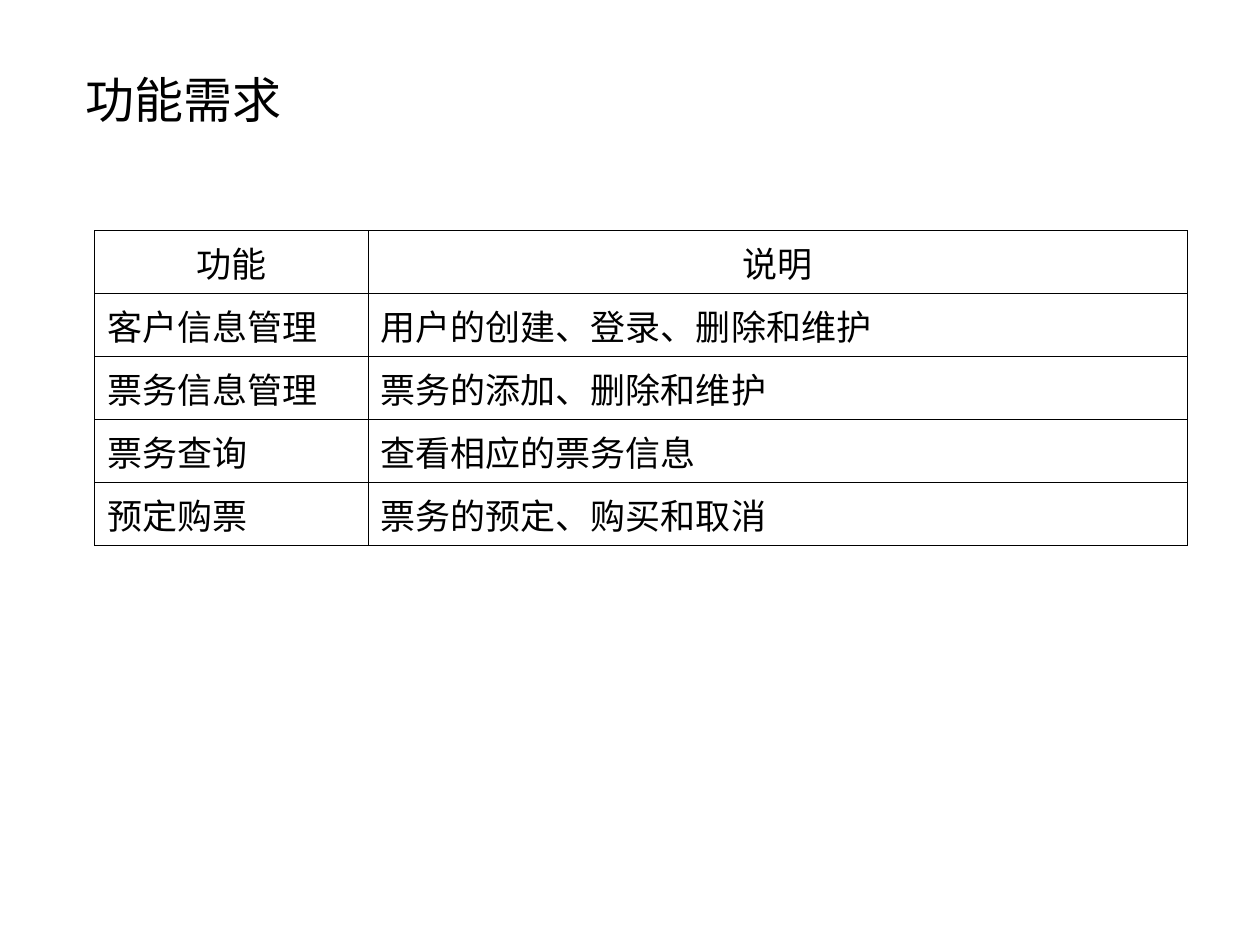
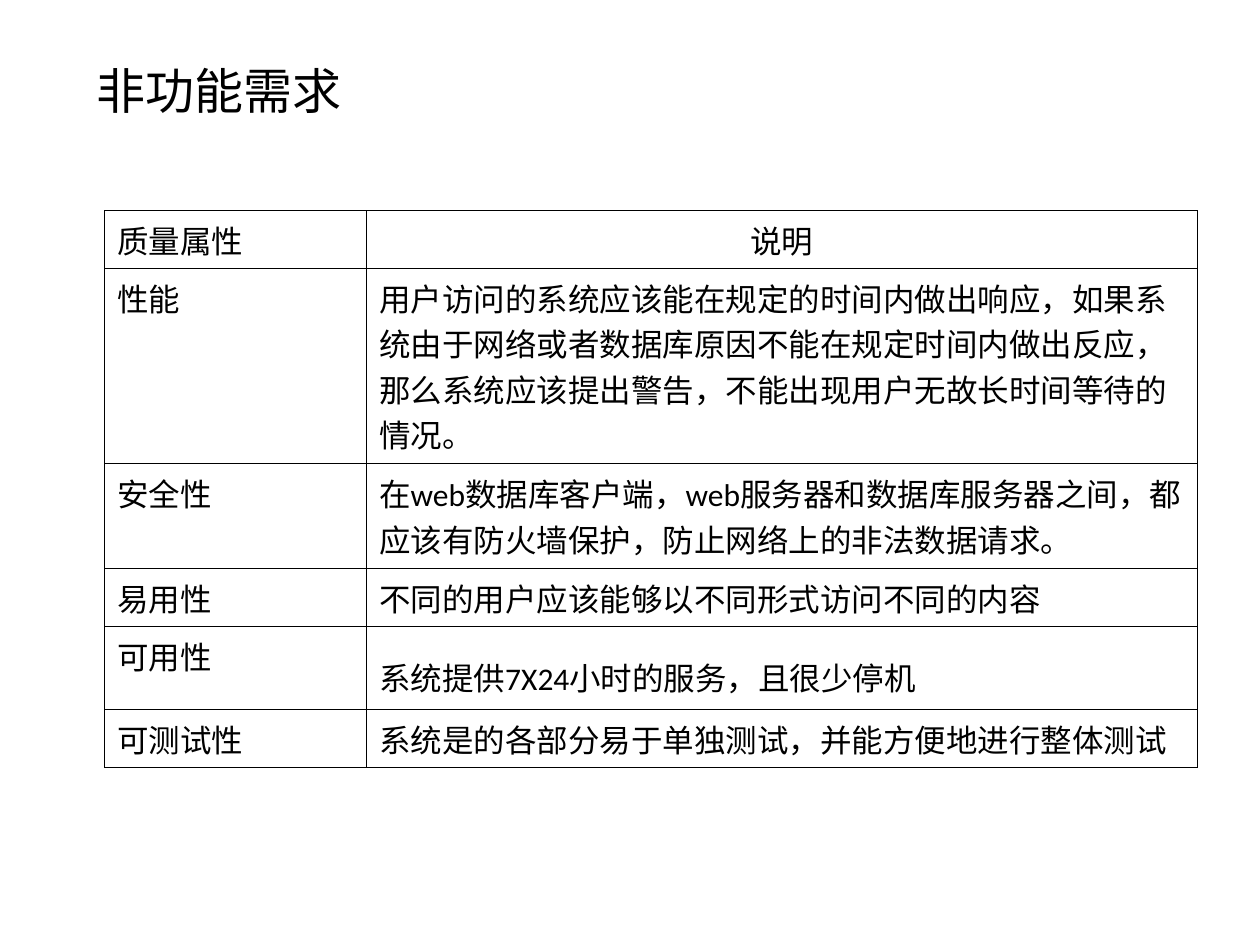
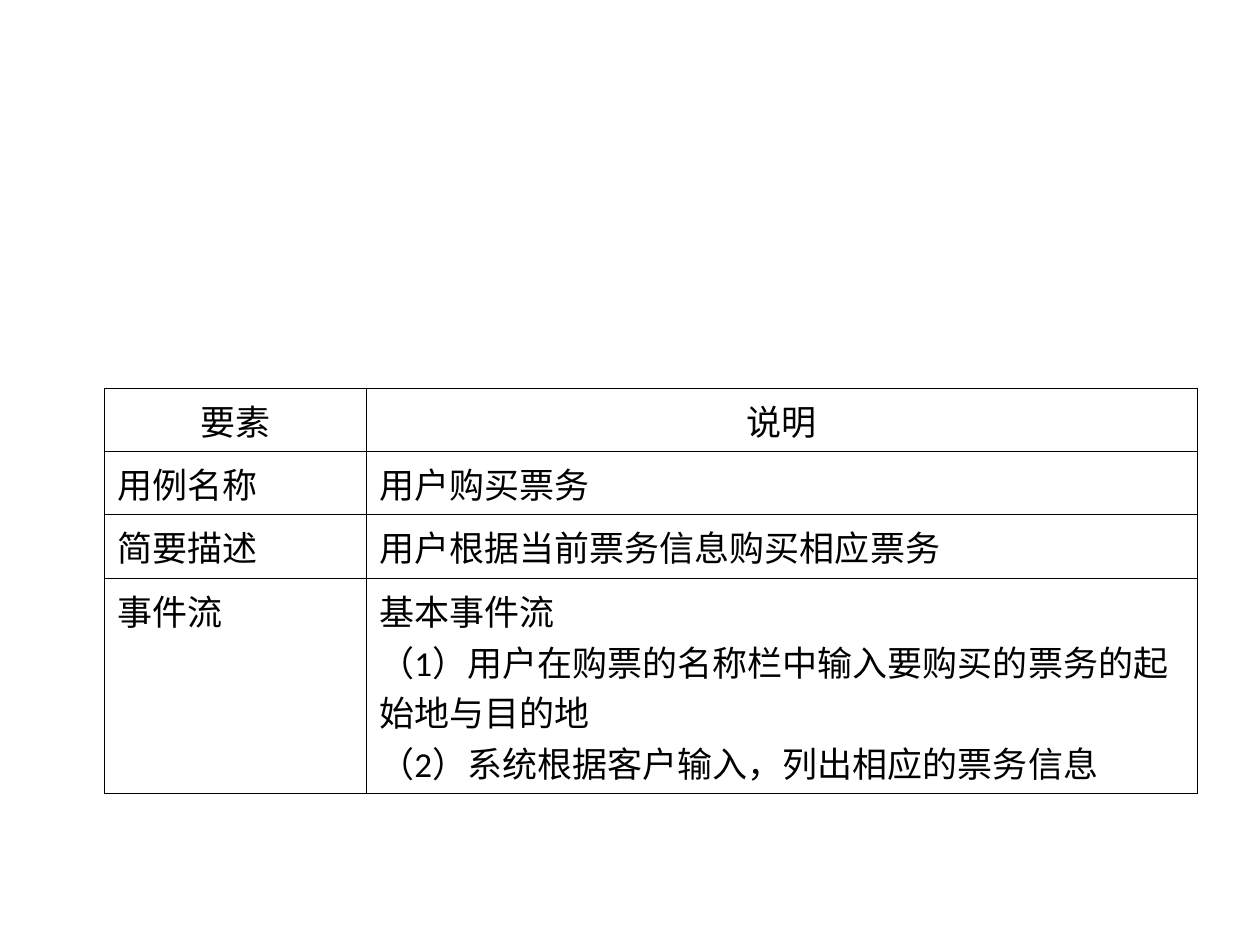
from lxml.etree import SubElement
from pptx import Presentation
from pptx.dml.color import RGBColor
from pptx.enum.text import MSO_ANCHOR, PP_ALIGN
from pptx.oxml.ns import qn
from pptx.util import Inches, Pt

# Shared style
FONT = "Calibri"
INK = "000000"
TITLE_SIZE = 28
BORDER_WIDTH = Pt(0.45)
TABLE_WIDTH = 8.67


def set_font(paragraph, size):
    paragraph.font.name = FONT
    paragraph.font.size = Pt(size)
    paragraph.font.bold = False
    paragraph.font.color.rgb = RGBColor.from_string(INK)


def draw_borders(cell):
    properties = cell._tc.get_or_add_tcPr()
    for side in ("lnL", "lnR", "lnT", "lnB"):
        line = SubElement(properties, qn(f"a:{side}"), w=str(BORDER_WIDTH))
        fill = SubElement(line, qn("a:solidFill"))
        SubElement(fill, qn("a:srgbClr"), val=INK)


# Content: at most one title and one two-column table per slide
pages = [
    {
        "title": ("功能需求", 0.58, 0.59, 8.92),
        "left": 0.75, "top": 1.83, "first_column": 2.17, "size": 20,
        "heights": [0.5] * 5,
        "centred": [(0, 0), (0, 1)],
        "rows": [
            ("功能", "说明"),
            ("客户信息管理", "用户的创建、登录、删除和维护"),
            ("票务信息管理", "票务的添加、删除和维护"),
            ("票务查询", "查看相应的票务信息"),
            ("预定购票", "票务的预定、购买和取消"),
        ],
    },
    {
        "title": ("非功能需求", 0.67, 0.52, 2.48),
        "left": 0.83, "top": 1.67, "first_column": 2.08, "size": 18,
        "heights": [0.46, 1.55, 0.83, 0.46, 0.66, 0.46],
        "centred": [(0, 1)],
        "bottom": [(4, 1)],
        "rows": [
            ("质量属性", "说明"),
            ("性能", "用户访问的系统应该能在规定的时间内做出响应，如果系统由于网络或者"
                   "数据库原因不能在规定时间内做出反应，那么系统应该提出警告，"
                   "不能出现用户无故长时间等待的情况。"),
            ("安全性", "在web数据库客户端，web服务器和数据库服务器之间，"
                    "都应该有防火墙保护，防止网络上的非法数据请求。"),
            ("易用性", "不同的用户应该能够以不同形式访问不同的内容"),
            ("可用性", "系统提供7X24小时的服务，且很少停机"),
            ("可测试性", "系统是的各部分易于单独测试，并能方便地进行整体测试"),
        ],
    },
    {
        "left": 0.83, "top": 3.08, "first_column": 2.08, "size": 20,
        "heights": [0.5, 0.5, 0.51, 1.71],
        "centred": [(0, 0), (0, 1)],
        "rows": [
            ("要素", "说明"),
            ("用例名称", "用户购买票务"),
            ("简要描述", "用户根据当前票务信息购买相应票务"),
            ("事件流", "基本事件流\n"
                    "（1）用户在购票的名称栏中输入要购买的票务的起始地与目的地\n"
                    "（2）系统根据客户输入，列出相应的票务信息"),
        ],
    },
]

presentation = Presentation()
presentation.slide_width = Inches(10)
presentation.slide_height = Inches(7.5)

for page in pages:
    slide = presentation.slides.add_slide(presentation.slide_layouts[6])

    # Title
    if "title" in page:
        text, left, top, width = page["title"]
        title = slide.shapes.add_textbox(
            Inches(left), Inches(top), Inches(width), Inches(0.52))
        title.text_frame.word_wrap = True
        paragraph = title.text_frame.paragraphs[0]
        paragraph.text = text
        paragraph.line_spacing = 0.8
        set_font(paragraph, TITLE_SIZE)

    # Table grid
    heights = page["heights"]
    table = slide.shapes.add_table(
        len(heights), 2, Inches(page["left"]), Inches(page["top"]),
        Inches(TABLE_WIDTH), Inches(sum(heights))).table
    table.first_row = False
    table.horz_banding = False
    table.columns[0].width = Inches(page["first_column"])
    table.columns[1].width = Inches(TABLE_WIDTH - page["first_column"])

    # Table cells
    for row, texts in enumerate(page["rows"]):
        table.rows[row].height = Inches(heights[row])
        for column, text in enumerate(texts):
            cell = table.cell(row, column)
            draw_borders(cell)
            cell.fill.background()
            cell.text = text
            if (row, column) in page.get("bottom", []):
                cell.vertical_anchor = MSO_ANCHOR.BOTTOM
                cell.margin_bottom = Inches(0.08)
            for paragraph in cell.text_frame.paragraphs:
                set_font(paragraph, page["size"])
                if (row, column) in page["centred"]:
                    paragraph.alignment = PP_ALIGN.CENTER

presentation.save("out.pptx")
